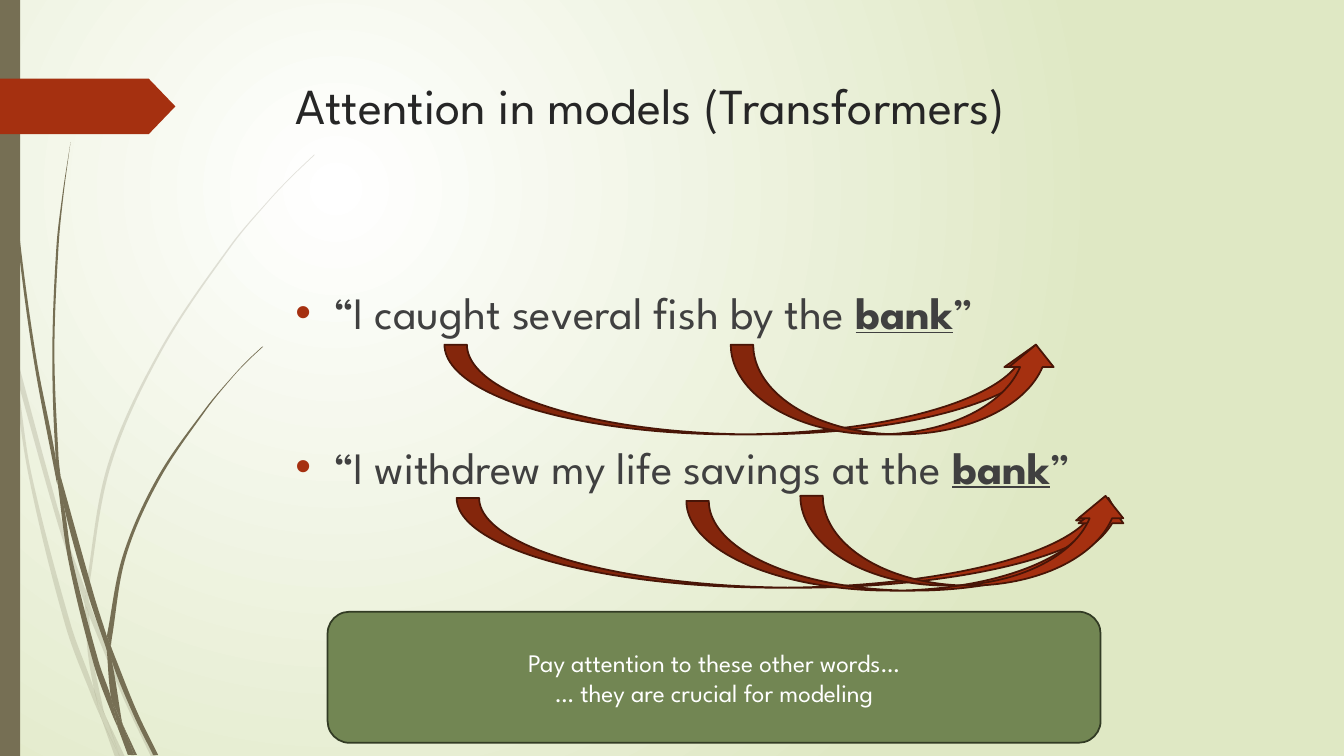
from dataclasses import dataclass

import lxml.etree
import math
import pptx
import pptx.dml.color
import pptx.enum.shapes
import pptx.enum.text
import pptx.oxml.ns
import pptx.util

Pt = pptx.util.Pt
qn = pptx.oxml.ns.qn
SHAPE = pptx.enum.shapes.MSO_SHAPE
FONT = "League Spartan"
COLORS = {
    "white": "FFFFFF", "meadow": "DFE8C4", "stem": "766F54", "rust": "A53010",
    "rust_edge": "481507", "moss": "728653", "moss_edge": "323B24",
    "heading": "262626", "body": "404040",
}
Point = tuple[float, float]


@dataclass
class Blade:
    """A piece of grass between two smooth edges."""
    left: list[Point]
    right: list[Point]


@dataclass
class Block:
    kind: int
    left: float
    top: float
    width: float
    height: float
    fill: str
    edge: str | None = None


@dataclass
class Sentence:
    lead: str
    space_before: float


FAINT_BLADES = [
    Blade([(0, 203), (6.5, 231.8), (7.9, 252)], [(0, 215.3), (7.2, 247.7), (7.9, 252)]),
    Blade([(10.1, 248.4), (44.6, 374.4), (61.2, 422)], [(12.2, 270.7), (41.8, 375.8), (60.5, 431.3)]),
    Blade([(63.4, 429.1), (66.2, 437), (91.4, 498.2), (111.6, 540.7)],
          [(63.4, 439.2), (88.6, 499.7), (108, 540.7)]),
    Blade([(75.6, 511.9), (85.7, 540.7)], [(75.6, 511.9), (89.3, 540.7)]),
    Blade([(7.9, 252), (20.2, 338.4), (46.8, 447.1), (66.2, 499), (72.7, 514.1)],
          [(7.9, 252), (12.2, 270.7), (22.3, 337.7), (50.4, 445.7), (67, 491.8), (71.3, 509), (72.7, 514.1)]),
    Blade([(60.5, 431.3), (62.6, 465.1), (67, 491.8), (69.1, 498.2), (75.6, 511.9)],
          [(60.5, 431.3), (63.4, 437.8), (65.5, 465.1), (74.2, 508.3), (75.6, 511.9)]),
    Blade([(224.6, 110.2), (208.1, 126), (193, 141.8), (164.2, 175.7), (113.8, 250.6), (77, 331.9),
           (61.2, 420.5), (61.2, 421.9)],
          [(224.6, 110.9), (208.8, 126), (193, 142.6), (164.9, 176.4), (115.2, 251.3), (79.2, 332.6),
           (63.4, 420.5), (63.4, 429.1)]),
    Blade([(72.7, 514.1), (82.1, 540.7)], [(72.7, 514.1), (85.7, 540.7)]),
    Blade([(61.2, 421.9), (60.5, 431.3)], [(63.4, 429.1), (63.4, 437.8)]),
    Blade([(67, 491.8), (71.3, 509), (72.7, 514.1), (85.7, 540.7)],
          [(67, 491.8), (69.1, 498.2), (75.6, 511.9), (85.7, 540.7)]),
]
STRONG_BLADES = [
    Blade([(2.2, 0), (2.9, 34.6), (5, 79.2), (12.2, 167.8), (23.8, 255.6), (40.3, 343.4), (41, 346.3)],
          [(2.9, 0), (3.6, 34.6), (5.8, 78.5), (13.7, 167), (25.9, 255.6), (39.6, 326.2), (41, 346.3)]),
    Blade([(43.2, 339.8), (46.1, 363.6), (63.4, 426.2), (76.3, 464.4)],
          [(43.2, 339.8), (67, 424.8), (76.3, 454.3)]),
    Blade([(79.2, 461.5), (79.9, 472.3), (95, 509.8), (109.4, 539.3)],
          [(79.2, 461.5), (81.4, 467.3), (97.9, 508.3), (113, 539.3)]),
    Blade([(41, 343.4), (49, 401), (67, 474.5), (79.9, 509.8), (84.2, 519.8)],
          [(41, 343.4), (46.1, 363.6), (51.8, 400.3), (70.6, 473), (79.2, 497.5), (83.5, 516.2), (84.2, 519.8)]),
    Blade([(50.4, 101.5), (44.6, 139), (40.3, 176.4), (37.4, 251.3), (39.6, 323.3), (43.2, 339.8)],
          [(50.4, 101.5), (45.4, 139), (41.8, 176.4), (38.9, 251.3), (41.8, 326.2), (43.2, 339.8)]),
    Blade([(87.8, 517.7), (95.8, 539.3)], [(87.8, 517.7), (97.9, 539.3)]),
    Blade([(39.6, 323.3), (41, 343.4), (46.1, 363.6)], [(39.6, 323.3), (43.2, 339.8), (46.1, 363.6)]),
    Blade([(187.2, 247.7), (176.4, 257.8), (166.3, 268.6), (146.9, 291.6), (112.3, 341.3), (87.8, 396.7),
           (76.3, 454.3)],
          [(187.9, 247.7), (176.4, 258.5), (166.3, 269.3), (147.6, 292.3), (113.8, 342.7), (90, 397.4),
           (79.9, 455.8), (79.2, 461.5)]),
    Blade([(84.2, 519.8), (91.4, 539.3)], [(84.2, 519.8), (94.3, 539.3)]),
    Blade([(76.3, 464.4), (79.2, 497.5), (83.5, 508.3), (87.8, 517.7)],
          [(76.3, 464.4), (79.9, 472.3), (87.1, 515.5), (87.8, 517.7)]),
    Blade([(76.3, 454.3), (76.3, 464.4), (79.9, 472.3)], [(76.3, 454.3), (79.2, 461.5), (79.9, 472.3)]),
    Blade([(79.2, 497.5), (83.5, 516.2), (84.2, 519.8), (93.6, 539.3)],
          [(79.2, 497.5), (83.5, 508.3), (87.8, 517.7), (95.8, 539.3)]),
]
SIDEBAR = Block(SHAPE.RECTANGLE, 0, 0, 14.4, 540, "stem")
TAG = Block(SHAPE.PENTAGON, 0, 56.2, 125.3, 39.6, "rust")
ATTENTION_ARROWS = [
    Block(SHAPE.CURVED_UP_ARROW, left, top, width, 64.1, "rust", "rust_edge")
    for left, top, width in [
        (317.5, 246.2, 438.5), (522, 246.2, 234),
        (326.2, 355.7, 481.7), (490.3, 357.8, 316.8), (571.7, 354.2, 234),
    ]
]
TAKEAWAY = Block(SHAPE.ROUNDED_RECTANGLE, 234, 437, 552.2, 93.6, "moss", "moss_edge")
SENTENCES = [Sentence("“I caught several fish by the ", 0),
             Sentence("“I withdrew my life savings at the ", 71.8)]


def rgb(name: str) -> pptx.dml.color.RGBColor:
    return pptx.dml.color.RGBColor.from_string(COLORS[name])


def add_xml(parent, tag: str, **attributes: str):
    return lxml.etree.SubElement(parent, qn(tag), attributes)


def format_run(run, size: float, color: str) -> None:
    run.font.name, run.font.size = FONT, Pt(size)
    run.font.color.rgb = rgb(color)


def place(shape, left: float, top: float, width: float, height: float) -> None:
    shape.left, shape.top, shape.width, shape.height = map(Pt, (left, top, width, height))


def paint(shape, fill: str, edge: str | None = None) -> None:
    shape.shadow.inherit = False
    shape.fill.solid()
    shape.fill.fore_color.rgb = rgb(fill)
    if edge:
        shape.line.color.rgb = rgb(edge)
        shape.line.width = Pt(1.25)
    else:
        shape.line.fill.background()


def draw_block(slide, block: Block):
    shape = slide.shapes.add_shape(
        block.kind, Pt(block.left), Pt(block.top), Pt(block.width), Pt(block.height))
    paint(shape, block.fill, block.edge)
    return shape


def smooth_edge(knots: list[Point]) -> list[Point]:
    """Bézier controls and ends after the first knot, tangent to its neighbours."""
    padded = [knots[0], *knots, knots[-1]]
    points = []
    for a, b, c, d in zip(padded, padded[1:], padded[2:], padded[3:]):
        reach = math.dist(b, c) / 3
        enter, leave = reach / math.dist(a, c), reach / math.dist(b, d)
        points += [(b[0] + (c[0] - a[0]) * enter, b[1] + (c[1] - a[1]) * enter),
                   (c[0] - (d[0] - b[0]) * leave, c[1] - (d[1] - b[1]) * leave), c]
    return points


def draw_blade(slide, blade: Blade, alpha: int) -> None:
    turn = [blade.left[-1], blade.right[-1], blade.right[-1]]
    outline = [blade.left[0], *smooth_edge(blade.left), *turn, *smooth_edge(blade.right[::-1])]
    start, *controls = [(Pt(x), Pt(y)) for x, y in outline]
    builder = slide.shapes.build_freeform(*start)
    builder.add_line_segments(controls, close=True)
    grass = builder.convert_to_shape()
    paint(grass, "stem")
    # Turn each three points into one curve
    lines = list(grass.element.iter(qn("a:lnTo")))[:len(controls)]
    for first, second, end in zip(lines[::3], lines[1::3], lines[2::3]):
        curve = lxml.etree.Element(qn("a:cubicBezTo"))
        first.addprevious(curve)
        for line in (first, second, end):
            curve.append(line[0])
            line.getparent().remove(line)
    if alpha < 100:
        add_xml(grass.element.spPr.find(".//" + qn("a:srgbClr")), "a:alpha", val=str(alpha * 1000))


def write_sentence(paragraph, sentence: Sentence) -> None:
    paragraph.space_before = Pt(sentence.space_before)
    for words in (sentence.lead, "bank", "”"):
        run = paragraph.add_run()
        run.text = words
        format_run(run, 32, "body")
        run.font.bold = run.font.underline = words == "bank"
    properties = paragraph._p.get_or_add_pPr()
    properties.set("marL", str(Pt(27)))
    properties.set("indent", str(-Pt(27)))
    add_xml(add_xml(properties, "a:buClr"), "a:srgbClr", val=COLORS["rust"])
    add_xml(properties, "a:buFont", typeface="Arial")
    add_xml(properties, "a:buChar", char="•")


def paint_background(slide) -> None:
    fill = slide.background.fill
    fill.gradient()
    for stop, color in zip(fill.gradient_stops, ("white", "meadow")):
        stop.color.rgb = rgb(color)
    gradient = slide.element.find(".//" + qn("a:gradFill"))
    gradient.remove(gradient.find(qn("a:lin")))
    circle = add_xml(gradient, "a:path", path="circle")
    add_xml(circle, "a:fillToRect", l="50000", t="50000", r="100000", b="100000")


def main() -> None:
    deck = pptx.Presentation()
    deck.slide_width, deck.slide_height = Pt(960), Pt(540)
    slide = deck.slides.add_slide(deck.slide_layouts[1])
    # Backdrop
    paint_background(slide)
    for blades, alpha in ((FAINT_BLADES, 20), (STRONG_BLADES, 100)):
        for blade in blades:
            draw_blade(slide, blade, alpha)
    draw_block(slide, SIDEBAR)
    draw_block(slide, TAG).adjustments[0] = 0.48
    # Title and example sentences
    heading, examples = slide.placeholders
    place(heading, 204, 49, 702, 100.8)
    place(examples, 203.8, 167.8, 702, 297.4)
    for frame in (heading.text_frame, examples.text_frame):
        frame.auto_size = pptx.enum.text.MSO_AUTO_SIZE.NONE
        frame.vertical_anchor = pptx.enum.text.MSO_ANCHOR.TOP
    heading.text_frame.text = "Attention in models (Transformers)"
    title_line = heading.text_frame.paragraphs[0]
    title_line.alignment = pptx.enum.text.PP_ALIGN.LEFT
    format_run(title_line.runs[0], 36, "heading")
    examples.text_frame.margin_top = Pt(35.8)
    write_sentence(examples.text_frame.paragraphs[0], SENTENCES[0])
    for sentence in SENTENCES[1:]:
        write_sentence(examples.text_frame.add_paragraph(), sentence)
    # Arrows from context words to "bank"
    for arrow in ATTENTION_ARROWS:
        draw_block(slide, arrow)
    # Takeaway
    takeaway = draw_block(slide, TAKEAWAY).text_frame
    takeaway.text = "Pay attention to these other words…\n… they are crucial for modeling"
    takeaway.vertical_anchor = pptx.enum.text.MSO_ANCHOR.MIDDLE
    for paragraph in takeaway.paragraphs:
        paragraph.alignment = pptx.enum.text.PP_ALIGN.CENTER
        format_run(paragraph.runs[0], 18, "white")
    deck.save("out.pptx")


if __name__ == "__main__":
    main()
